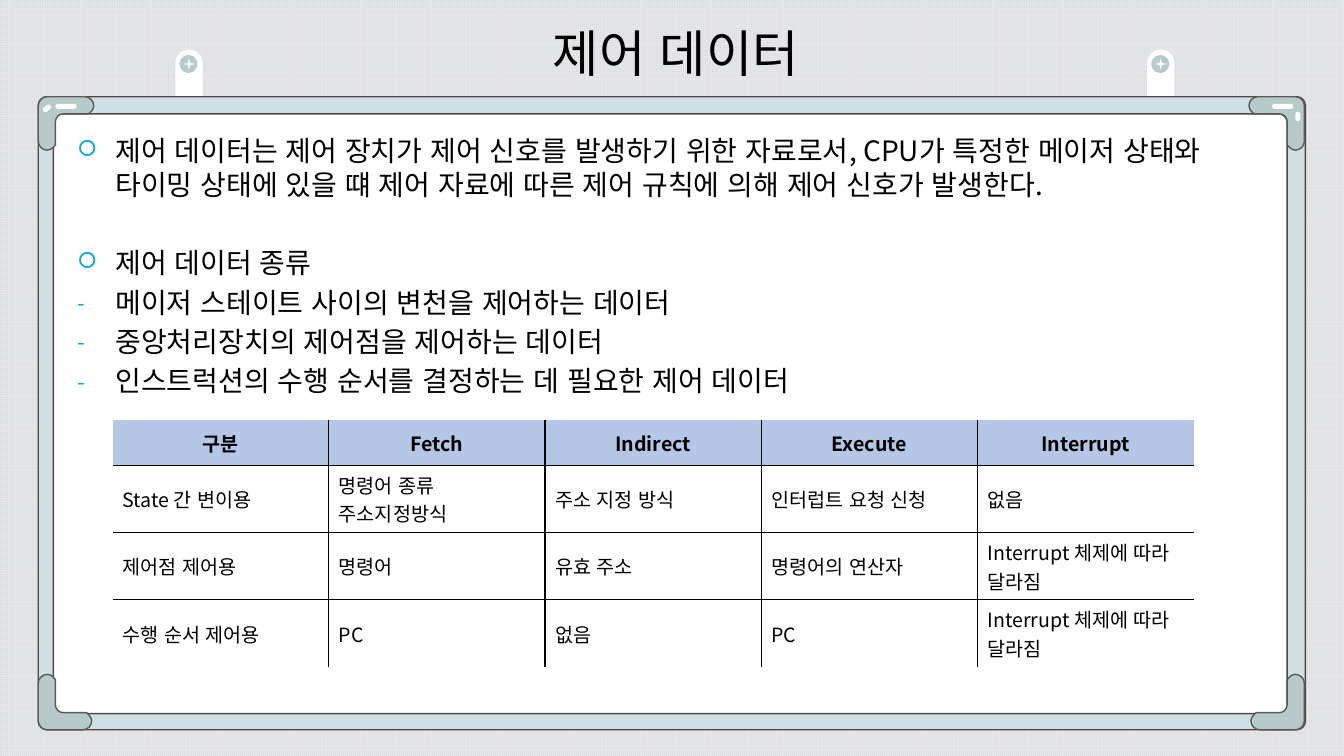
from lxml import etree
from pptx import Presentation
from pptx.dml.color import RGBColor
from pptx.enum.dml import MSO_PATTERN
from pptx.enum.shapes import MSO_SHAPE
from pptx.enum.text import MSO_ANCHOR, PP_ALIGN
from pptx.oxml.ns import qn
from pptx.util import Inches, Pt

CELL = Inches(0.1)
COLS, ROWS = 133.33, 75
FONT = "Noto Sans CJK KR"
RECT, ROUND, TAB = MSO_SHAPE.RECTANGLE, MSO_SHAPE.ROUNDED_RECTANGLE, MSO_SHAPE.ROUND_2_SAME_RECTANGLE
OVAL, STAR = MSO_SHAPE.OVAL, MSO_SHAPE.STAR_4_POINT
GRID = MSO_PATTERN.SMALL_GRID
MIDDLE, TOP = MSO_ANCHOR.MIDDLE, MSO_ANCHOR.TOP
LEFT, CENTER = PP_ALIGN.LEFT, PP_ALIGN.CENTER

COLORS = {
    "ink": "000000", "white": "FFFFFF", "mesh": "E6E6E6", "haze": "D6DCE5",
    "frame": "CEE0E4", "edge": "544741", "corner": "B6CBC9", "rim": "595959",
    "bullet": "10A8CB", "head": "B4C7E7",
}

CORNER = [
    (0.9, 0), (4.6, 0), (5.1, 0, 5.5, 0.4, 5.5, 0.9),
    (5.5, 1.1, 5.4, 1.3, 5.3, 1.4), (5, 1.7), (2.5, 1.7),
    (2, 1.7, 1.7, 2.1, 1.7, 2.5), (1.7, 4.8), (1.5, 5),
    (1.3, 5.2, 1.1, 5.3, 0.9, 5.3), (0.4, 5.3, 0, 4.9, 0, 4.4),
    (0, 0.9), (0, 0.4, 0.4, 0, 0.9, 0),
]

GLINTS = [
    (5.5, 10.3, 2.1, 0), (4.2, 10.5, 0.9, 319.2),
    (126.2, 10.3, 2.1, 0), (128.3, 11.3, 0.9, 270),
]

DOT, DASH = ("Wingdings", "¡"), (FONT, "-")
LINES = [
    (DOT, 4, "제어 데이터는 제어 장치가 제어 신호를 발생하기 위한 자료로서, CPU가 특정한 메이저 상태와 "
             "타이밍 상태에 있을 떄 제어 자료에 따른 제어 규칙에 의해 제어 신호가 발생한다."),
    (DOT, 32, "제어 데이터 종류"),
    (DASH, 4, "메이저 스테이트 사이의 변천을 제어하는 데이터"),
    (DASH, 4, "중앙처리장치의 제어점을 제어하는 데이터"),
    (DASH, 4, "인스트럭션의 수행 순서를 결정하는 데 필요한 제어 데이터"),
]

TABLE = [
    ["구분", "Fetch", "Indirect", "Execute", "Interrupt"],
    ["State 간 변이용", "명령어 종류\n주소지정방식", "주소 지정 방식", "인터럽트 요청 신청", "없음"],
    ["제어점 제어용", "명령어", "유효 주소", "명령어의 연산자", "Interrupt 체제에 따라 달라짐"],
    ["수행 순서 제어용", "PC", "없음", "PC", "Interrupt 체제에 따라 달라짐"],
]


def span(num):
    return int(num * CELL)


def tint(name):
    return RGBColor.from_string(COLORS[name])


def apply(item, form):
    for key, val in form.items():
        setattr(item, key, val)


def place(item, left, top, width, height):
    apply(item, {"left": span(left), "top": span(top), "width": span(width), "height": span(height)})


def paint(shape, fill, line=None):
    shape.shadow.inherit = False
    shape.fill.solid()
    shape.fill.fore_color.rgb = tint(fill)
    if line:
        shape.line.color.rgb = tint(line)
        shape.line.width = Pt(1)
    else:
        shape.line.fill.background()


def add_part(slide, kind, box, fill, turn=0):
    shape = slide.shapes.add_shape(kind, *map(span, box))
    paint(shape, fill)
    shape.rotation = turn
    if kind in (ROUND, TAB):
        shape.adjustments[0] = 0.5


def round_box(l, t, r, b, rad=0.85):
    near = rad * 0.45
    return [
        (l + rad, t), (r - rad, t), (r - near, t, r, t + near, r, t + rad),
        (r, b - rad), (r, b - near, r - near, b, r - rad, b),
        (l + rad, b), (l + near, b, l, b - near, l, b - rad),
        (l, t + rad), (l, t + near, l + near, t, l + rad, t),
    ]


def bend(shape, steps):
    nodes = iter(list(shape._element.iter(qn("a:lnTo"))))
    for step in steps:
        group = [next(nodes) for _ in range(len(step) // 2)]
        if len(group) == 3:
            curve = group[0].makeelement(qn("a:cubicBezTo"))
            group[0].addprevious(curve)
            for node in group:
                curve.append(node[0])
                node.getparent().remove(node)


def add_free(slide, loops, fill, line, move=lambda u, v: (u, v)):
    pen = None
    for loop in loops:
        dots = [move(u, v) for step in loop for u, v in zip(step[::2], step[1::2])]
        dots = [(span(x), span(y)) for x, y in dots]
        if pen:
            pen.move_to(*dots[0])
        else:
            pen = slide.shapes.build_freeform(*dots[0])
        pen.add_line_segments(dots[1:], close=True)
    shape = pen.convert_to_shape()
    bend(shape, [step for loop in loops for step in loop[1:]])
    paint(shape, fill, line)


def add_pin(slide, left, top):
    add_part(slide, TAB, (left, top, 2.7, 4.8), "white")
    add_part(slide, OVAL, (left + 0.4, top + 0.55, 1.8, 1.8), "corner")
    add_part(slide, STAR, (left + 0.75, top + 0.85, 1.2, 1.2), "white")


def add_board(slide):
    for left in (17.4, 113.8):
        add_pin(slide, left, 4.9)
    add_part(slide, RECT, (4.3, 10.8, 124.5, 60.8), "white")
    add_free(slide, [round_box(5.3, 11.3, 127.7, 70.8), round_box(3.8, 9.6, 129.5, 72.4)], "frame", "edge")
    for x, dx in ((3.8, 1), (129.4, -1)):
        add_free(slide, [CORNER], "corner", "rim", lambda u, v: (x + dx * u, 9.6 + v))
        add_free(slide, [CORNER], "corner", "rim", lambda u, v: (x + dx * v, 72.4 - u))
    for left, top, width, turn in GLINTS:
        add_part(slide, ROUND, (left, top, width, 0.5), "white", turn)


def write(para, text, size, form, bold=False):
    apply(para, form)
    run = para.add_run()
    run.text = text
    run.font.color.rgb = tint("ink")
    apply(run.font, {"size": Pt(size), "bold": bold, "name": FONT})
    props = run.font._element
    for key, val in {"lang": "ko-KR", "altLang": "en-US", "kern": "0"}.items():
        props.set(key, val)
    etree.SubElement(props, qn("a:ea"), typeface=FONT)


def add_title(slide, text):
    title = slide.shapes.title
    place(title, 20.4, 1.5, 93.3, 8.2)
    apply(title.text_frame, {"vertical_anchor": MIDDLE, "word_wrap": True})
    write(title.text_frame.paragraphs[0], text, 36, {"alignment": CENTER, "line_spacing": 0.9})


def add_mark(para, face, sign):
    props = para._p.get_or_add_pPr()
    for key, val in {"marL": span(3.75), "indent": -span(3.75)}.items():
        props.set(key, str(val))
    color = etree.SubElement(props, qn("a:buClr"))
    etree.SubElement(color, qn("a:srgbClr"), val=COLORS["bullet"])
    etree.SubElement(props, qn("a:buSzPct"), val="80000")
    etree.SubElement(props, qn("a:buFont"), typeface=face)
    etree.SubElement(props, qn("a:buChar"), char=sign)


def add_list(slide):
    frame = slide.shapes.add_textbox(*map(span, (6.7, 12.8, 120, 55.7))).text_frame
    apply(frame, {"word_wrap": True, "vertical_anchor": TOP})
    for num, (mark, gap, text) in enumerate(LINES):
        para = frame.add_paragraph() if num else frame.paragraphs[0]
        write(para, text, 20, {"alignment": LEFT, "space_before": Pt(gap)})
        add_mark(para, *mark)


def rule(cell, sides):
    props = cell._tc.get_or_add_tcPr()
    for side, shown in sides.items():
        line = etree.SubElement(props, qn("a:ln" + side), w=str(Pt(1)))
        if shown:
            fill = etree.SubElement(line, qn("a:solidFill"))
            etree.SubElement(fill, qn("a:srgbClr"), val=COLORS["ink"])
        else:
            etree.SubElement(line, qn("a:noFill"))


def add_grid(slide):
    high, wide = len(TABLE), len(TABLE[0])
    box = map(span, (11.17, 41.67, 107.25, 23.8))
    table = slide.shapes.add_table(high, wide, *box).table
    apply(table, {"first_row": False, "horz_banding": False})
    for col in table.columns:
        col.width = span(107.25 / wide)
    for r, texts in enumerate(TABLE):
        table.rows[r].height = span(6.67 if r else 4.5)
        for c, text in enumerate(texts):
            cell = table.cell(r, c)
            rule(cell, {"L": c > 0, "R": c < wide - 1, "T": r > 0, "B": r < high - 1})
            cell.fill.solid()
            cell.fill.fore_color.rgb = tint("white" if r else "head")
            cell.vertical_anchor = MIDDLE
            for num, part in enumerate(text.split("\n")):
                para = cell.text_frame.add_paragraph() if num else cell.text_frame.paragraphs[0]
                write(para, part, 14, {"alignment": LEFT if r else CENTER}, not r)


def main():
    deck = Presentation()
    apply(deck, {"slide_width": span(COLS), "slide_height": span(ROWS)})
    slide = deck.slides.add_slide(deck.slide_layouts[5])
    back = slide.background.fill
    back.patterned()
    back.pattern = GRID
    back.fore_color.rgb = tint("mesh")
    back.back_color.rgb = tint("haze")
    add_board(slide)
    add_title(slide, "제어 데이터")
    add_list(slide)
    add_grid(slide)
    deck.save("out.pptx")


if __name__ == "__main__":
    main()
